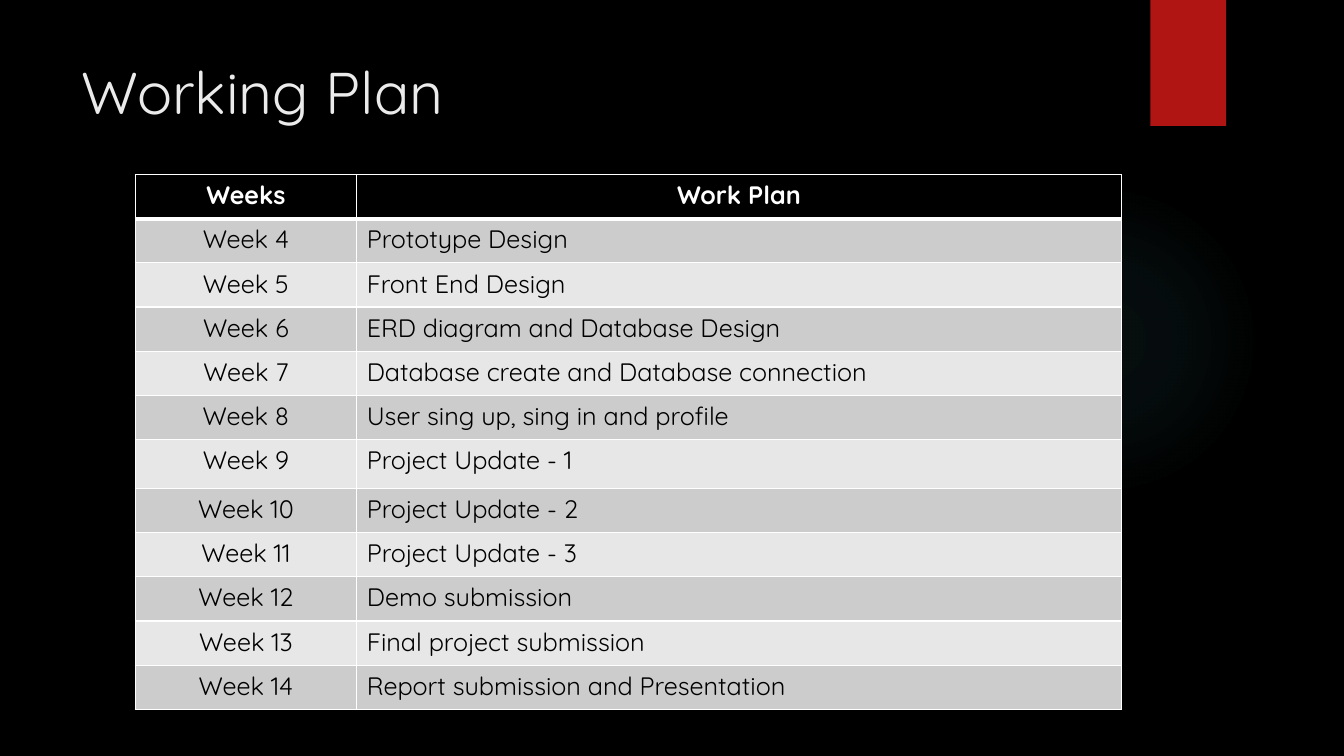
from dataclasses import dataclass

from lxml import etree
from pptx import Presentation
from pptx.dml.color import RGBColor
from pptx.enum.shapes import MSO_SHAPE
from pptx.enum.text import PP_ALIGN
from pptx.oxml import parse_xml
from pptx.oxml.ns import nsdecls, qn
from pptx.util import Pt

CENTER, LEFT = PP_ALIGN.CENTER, PP_ALIGN.LEFT
OVAL, RECTANGLE = MSO_SHAPE.OVAL, MSO_SHAPE.RECTANGLE


@dataclass(frozen=True)
class Theme:
    font: str = "Quicksand"
    title_size: int = 42
    table_size: int = 18
    background: str = "000000"
    title: str = "EBEBEB"
    banner: str = "B01513"
    glow: str = "50B9C1"
    header: str = "000000"
    header_text: str = "FFFFFF"
    bands: tuple = ("CCCCCC", "E7E7E7")
    body_text: str = "000000"
    border: str = "FFFFFF"


THEME = Theme()
COLUMN_WIDTHS = (158.2, 546.2)
ROW_HEIGHT = 31.6
TALL_ROW_HEIGHT = 34.7
TALL_WEEK = 9
FIRST_WEEK = 4
HEADINGS = ("Weeks", "Work Plan")
TASKS = (
    "Prototype Design",
    "Front End Design",
    "ERD diagram and Database Design",
    "Database create and Database connection",
    "User sing up, sing in and profile",
    "Project Update - 1",
    "Project Update - 2",
    "Project Update - 3",
    "Demo submission",
    "Final project submission",
    "Report submission and Presentation",
)


def rgb(color):
    return RGBColor.from_string(color)


def style_text(para, size, color, bold=False, align=LEFT):
    para.alignment = align
    para.font.name = THEME.font
    para.font.size = Pt(size)
    para.font.bold = bold
    para.font.color.rgb = rgb(color)


def add_plain_shape(page, kind, left, top, width, height, color):
    shape = page.shapes.add_shape(kind, Pt(left), Pt(top), Pt(width), Pt(height))
    shape.shadow.inherit = False
    shape.line.fill.background()
    shape.fill.solid()
    shape.fill.fore_color.rgb = rgb(color)
    return shape


def add_glow(page, left, top, size):
    """Add a circle that fades from its centre to nothing."""
    circle = add_plain_shape(page, OVAL, left, top, size, size, THEME.glow)
    stops = "".join(
        f'<a:gs pos="{position * 1000}"><a:srgbClr val="{THEME.glow}">'
        f'<a:alpha val="{opacity * 1000}"/></a:srgbClr></a:gs>'
        for position, opacity in ((0, 7), (36, 6), (69, 0))
    )
    gradient = parse_xml(
        f'<a:gradFill {nsdecls("a")}><a:gsLst>{stops}</a:gsLst><a:path path="circle">'
        '<a:fillToRect l="50000" t="50000" r="50000" b="50000"/></a:path></a:gradFill>'
    )
    properties = circle.element.spPr
    properties.replace(properties.find(qn("a:solidFill")), gradient)


def add_title(page, text):
    box = page.shapes.add_textbox(Pt(51), Pt(36), Pt(741), Pt(110))
    box.text_frame.word_wrap = True
    box.text_frame.text = text
    style_text(box.text_frame.paragraphs[0], THEME.title_size, THEME.title)


def set_borders(cell, top=1, bottom=1):
    properties = cell._tc.get_or_add_tcPr()
    for side, width in (("L", 1), ("R", 1), ("T", top), ("B", bottom)):
        line = etree.SubElement(properties, qn(f"a:ln{side}"), w=str(Pt(width)))
        fill = etree.SubElement(line, qn("a:solidFill"))
        etree.SubElement(fill, qn("a:srgbClr"), val=THEME.border)


def fill_cell(cell, text, fill, color, bold, align):
    cell.text = text
    style_text(cell.text_frame.paragraphs[0], THEME.table_size, color, bold, align)
    cell.fill.solid()
    cell.fill.fore_color.rgb = rgb(fill)


def add_plan_table(page, left, top):
    weeks = list(enumerate(TASKS, FIRST_WEEK))
    rows = [HEADINGS] + [(f"Week {week}", task) for week, task in weeks]
    heights = [ROW_HEIGHT] + [
        TALL_ROW_HEIGHT if week == TALL_WEEK else ROW_HEIGHT for week, _ in weeks
    ]
    table = page.shapes.add_table(
        len(rows), len(HEADINGS), Pt(left), Pt(top), Pt(sum(COLUMN_WIDTHS)), Pt(sum(heights))
    ).table
    for column, width in zip(table.columns, COLUMN_WIDTHS):
        column.width = Pt(width)
    for row, height in zip(table.rows, heights):
        row.height = Pt(height)

    for row_index, texts in enumerate(rows):
        is_header = row_index == 0
        fill = THEME.header if is_header else THEME.bands[(row_index - 1) % 2]
        color = THEME.header_text if is_header else THEME.body_text
        for column_index, text in enumerate(texts):
            cell = table.cell(row_index, column_index)
            align = CENTER if is_header or column_index == 0 else LEFT
            set_borders(cell, top=3 if row_index == 1 else 1, bottom=3 if is_header else 1)
            fill_cell(cell, text, fill, color, is_header, align)


def main():
    deck = Presentation()
    deck.slide_width, deck.slide_height = Pt(960), Pt(540)
    page = deck.slides.add_slide(deck.slide_layouts[6])
    page.background.fill.solid()
    page.background.fill.fore_color.rgb = rgb(THEME.background)

    add_glow(page, 677.5, 131.8, 221.8)
    add_plain_shape(page, RECTANGLE, 821.8, 0, 54, 90, THEME.banner)
    add_title(page, "Working Plan")
    add_plan_table(page, 96.6, 124.6)
    deck.save("out.pptx")


if __name__ == "__main__":
    main()
